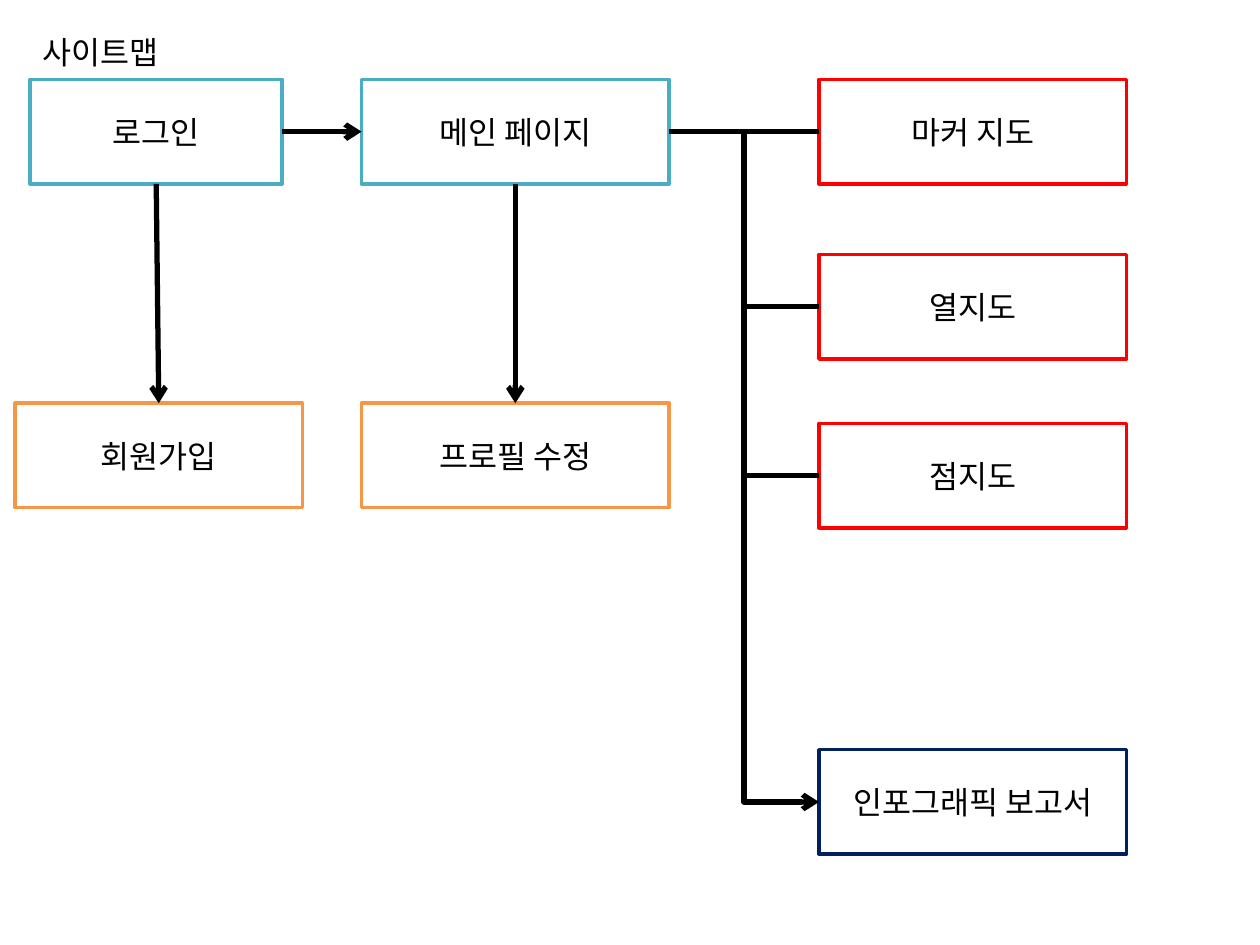
from lxml.etree import SubElement
from pptx import Presentation
from pptx.dml.color import RGBColor
from pptx.enum.shapes import MSO_CONNECTOR as Link, MSO_SHAPE as Shape
from pptx.enum.text import MSO_ANCHOR as Anchor, MSO_AUTO_SIZE as AutoSize, PP_ALIGN as Align
from pptx.oxml.ns import qn
from pptx.util import Inches, Pt

BLACK = RGBColor(0x00, 0x00, 0x00)
WHITE = RGBColor(0xFF, 0xFF, 0xFF)
TEAL = RGBColor(0x4B, 0xAC, 0xC6)
ORANGE = RGBColor(0xF7, 0x96, 0x46)
RED = RGBColor(0xFF, 0x00, 0x00)
NAVY = RGBColor(0x00, 0x20, 0x60)
TOP, LEFT, BOTTOM, RIGHT = range(4)

COLUMNS = {"entry": (0.24, 2), "signup": (0.12, 2.28), "main": (2.87, 2.44), "views": (6.5, 2.44)}
ROWS = {"first": 0.63, "heat": 2.02, "account": 3.2, "dots": 3.36, "report": 5.95}
ROW_HEIGHT = 0.83


class SiteMap:
    font = "Noto Sans CJK KR"
    size = Pt(18)
    border = Pt(2)
    stroke = Pt(3)

    def __init__(self, presentation):
        self.slide = presentation.slides.add_slide(presentation.slide_layouts[5])

    def label(self, frame, text, align):
        frame.text = text
        frame.word_wrap = True
        paragraph = frame.paragraphs[0]
        paragraph.alignment = align
        font = paragraph.font
        font.size, font.name, font.color.rgb = self.size, self.font, BLACK
        defaults = paragraph._p.pPr.find(qn("a:defRPr"))
        SubElement(defaults, qn("a:ea"), typeface=self.font)

    def title(self, text, left, top, width, height):
        heading = self.slide.shapes.title
        heading.left, heading.top = Inches(left), Inches(top)
        heading.width, heading.height = Inches(width), Inches(height)
        self.label(heading.text_frame, text, Align.LEFT)
        heading.text_frame.vertical_anchor = Anchor.TOP
        heading.text_frame.auto_size = AutoSize.SHAPE_TO_FIT_TEXT

    def page(self, text, column, row, color):
        left, width = COLUMNS[column]
        box = self.slide.shapes.add_shape(
            Shape.RECTANGLE, Inches(left), Inches(ROWS[row]), Inches(width), Inches(ROW_HEIGHT))
        box.shadow.inherit = False
        box.fill.solid()
        box.fill.fore_color.rgb = WHITE
        box.line.color.rgb = color
        box.line.width = self.border
        box.text_frame.vertical_anchor = Anchor.MIDDLE
        self.label(box.text_frame, text, Align.CENTER)
        return box

    def link(self, source, target, sides=(RIGHT, LEFT), kind=Link.STRAIGHT, arrow=True):
        line = self.slide.shapes.add_connector(kind, 0, 0, 0, 0)
        line.begin_connect(source, sides[0])
        line.end_connect(target, sides[1])
        self.ink(line, arrow)

    def branch(self, trunk, target):
        middle = target.top + target.height // 2
        line = self.slide.shapes.add_connector(Link.STRAIGHT, trunk, middle, target.left, middle)
        line.end_connect(target, LEFT)
        self.ink(line, False)

    def ink(self, line, arrow):
        line.line.color.rgb = BLACK
        line.line.width = self.stroke
        properties = line._element.spPr
        if arrow:
            SubElement(properties.find(qn("a:ln")), qn("a:tailEnd"), type="arrow")
        SubElement(properties, qn("a:effectLst"))


presentation = Presentation()
presentation.slide_width, presentation.slide_height = Inches(10), Inches(7.5)
site = SiteMap(presentation)

site.title("사이트맵", 0.24, 0.21, 3.26, 0.4)
login = site.page("로그인", "entry", "first", TEAL)
main_page = site.page("메인 페이지", "main", "first", TEAL)
signup = site.page("회원가입", "signup", "account", ORANGE)
profile = site.page("프로필 수정", "main", "account", ORANGE)
marker_map = site.page("마커 지도", "views", "first", RED)
heat_map = site.page("열지도", "views", "heat", RED)
dot_map = site.page("점지도", "views", "dots", RED)
report = site.page("인포그래픽 보고서", "views", "report", NAVY)

site.link(login, main_page)
for upper, lower in ((login, signup), (main_page, profile)):
    site.link(upper, lower, (BOTTOM, TOP))
site.link(main_page, report, kind=Link.ELBOW)
site.link(main_page, marker_map, arrow=False)
trunk = (main_page.left + main_page.width + report.left) // 2
for view in (heat_map, dot_map):
    site.branch(trunk, view)

presentation.save("out.pptx")
